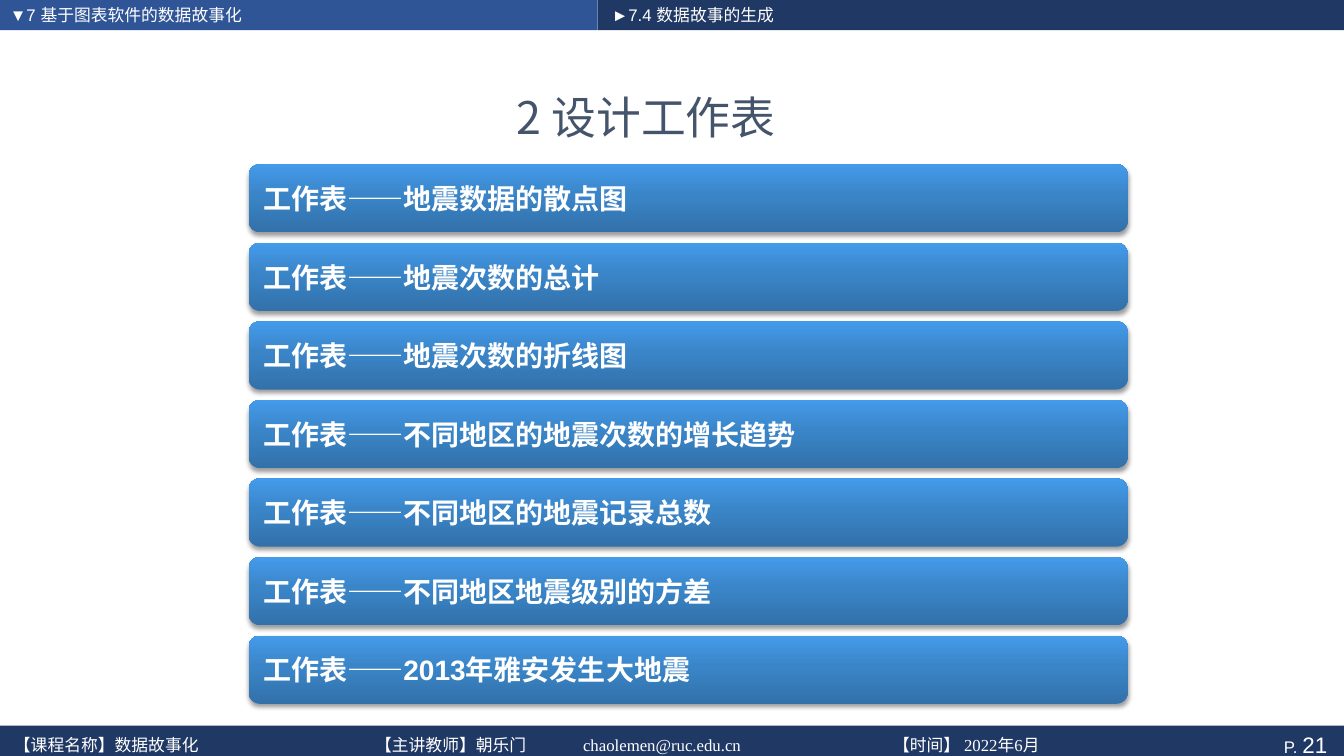
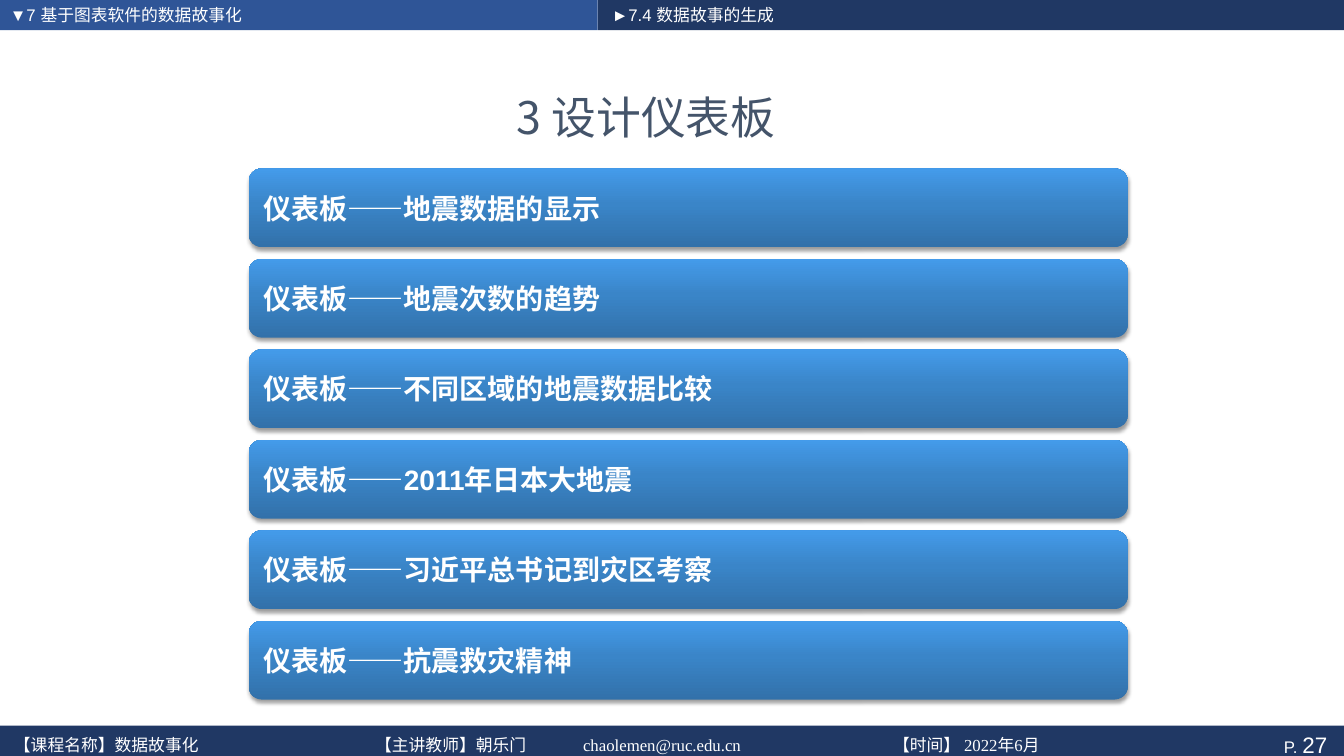
from copy import deepcopy

from lxml.etree import SubElement
from pptx import Presentation
from pptx.dml.color import RGBColor
from pptx.enum.shapes import MSO_SHAPE
from pptx.enum.text import MSO_ANCHOR, PP_ALIGN
from pptx.oxml.ns import qn
from pptx.util import Pt

WHITE = RGBColor(0xFF, 0xFF, 0xFF)
NAVY = RGBColor(0x20, 0x38, 0x64)
BLUE = RGBColor(0x2F, 0x55, 0x97)
SLATE = RGBColor(0x44, 0x54, 0x6A)
BAR_GRADIENT = [
    (0, RGBColor(0x32, 0x71, 0xAA)),
    (0.55, RGBColor(0x3A, 0x85, 0xC8)),
    (1, RGBColor(0x44, 0x9B, 0xEA)),
]
CHINESE_FONT = "Noto Sans CJK SC"

SLIDE_WIDTH, SLIDE_HEIGHT = 960, 540
HEADER_HEIGHT = 21.6
HEADER_SPLIT = 427
FOOTER_TOP, FOOTER_HEIGHT = 518.4, 26.6
BAR_LEFT, BAR_WIDTH = 177.6, 628
BARS_CENTER = 310
BAR_GAP = 0.15  # share of the bar height

# left, top, width, height, fill
BANDS = {
    "chapter": (0, 0, HEADER_SPLIT, HEADER_HEIGHT, BLUE),
    "section": (HEADER_SPLIT, 0, SLIDE_WIDTH - HEADER_SPLIT, HEADER_HEIGHT, NAVY),
    "footer": (0, FOOTER_TOP, SLIDE_WIDTH, FOOTER_HEIGHT, NAVY),
}
FOOTER_ITEMS = [
    (10, "【课程名称】数据故事化"),
    (268, "【主讲教师】朝乐门"),
    (416.5, "chaolemen@ruc.edu.cn"),
    (638, "【时间】 2022年6月"),
]
SLIDES = [
    {
        "title": "2 设计工作表",
        "page": 21,
        "prefix": "工作表——",
        "bar_height": 48.8,
        "items": [
            "地震数据的散点图",
            "地震次数的总计",
            "地震次数的折线图",
            "不同地区的地震次数的增长趋势",
            "不同地区的地震记录总数",
            "不同地区地震级别的方差",
            "2013年雅安发生大地震",
        ],
    },
    {
        "title": "3 设计仪表板",
        "page": 27,
        "prefix": "仪表板——",
        "bar_height": 56.2,
        "items": [
            "地震数据的显示",
            "地震次数的趋势",
            "不同区域的地震数据比较",
            "2011年日本大地震",
            "习近平总书记到灾区考察",
            "抗震救灾精神",
        ],
    },
]


def add_text(shape, text, size=12, font="Arial", color=WHITE, bold=False,
             align=PP_ALIGN.LEFT, left=0, right=0):
    """Append a run to the shape's first paragraph; left and right are insets."""
    frame = shape.text_frame
    frame.word_wrap = True
    frame.vertical_anchor = MSO_ANCHOR.MIDDLE
    frame.margin_left, frame.margin_right = Pt(left), Pt(right)
    frame.margin_top = frame.margin_bottom = 0
    paragraph = frame.paragraphs[0]
    paragraph.alignment = align
    run = paragraph.add_run()
    run.text = text
    run.font.size = Pt(size)
    run.font.bold = bold
    run.font.color.rgb = color
    run.font.name = font
    SubElement(run.font._element, qn("a:ea"), typeface=CHINESE_FONT)


def add_plain_shape(slide, kind, left, top, width, height):
    shape = slide.shapes.add_shape(kind, Pt(left), Pt(top), Pt(width), Pt(height))
    shape.shadow.inherit = False
    shape.line.fill.background()
    return shape


presentation = Presentation()
presentation.slide_width = Pt(SLIDE_WIDTH)
presentation.slide_height = Pt(SLIDE_HEIGHT)

for content in SLIDES:
    slide = presentation.slides.add_slide(presentation.slide_layouts[5])

    # Header and footer bands
    bands = {}
    for name, (left, top, width, height, color) in BANDS.items():
        band = add_plain_shape(slide, MSO_SHAPE.RECTANGLE, left, top, width, height)
        band.fill.solid()
        band.fill.fore_color.rgb = color
        bands[name] = band
    add_text(bands["chapter"], "▼7 基于图表软件的数据故事化", left=7.2)
    add_text(bands["section"], "►7.4 数据故事的生成", left=10)
    for text, size in (("P. ", 12), (str(content["page"]), 16)):
        add_text(bands["footer"], text, size=size, align=PP_ALIGN.RIGHT, right=12)
    for left, text in FOOTER_ITEMS:
        box = slide.shapes.add_textbox(Pt(left), Pt(FOOTER_TOP), Pt(200), Pt(FOOTER_HEIGHT))
        add_text(box, text, font="Times New Roman")

    # Title
    title = slide.shapes.title
    title.left, title.top, title.width, title.height = Pt(177.6), Pt(51), Pt(568), Pt(65)
    add_text(title, content["title"], size=32, font=CHINESE_FONT, color=SLATE,
             align=PP_ALIGN.CENTER)

    # Bars, centred as a stack
    height = content["bar_height"]
    pitch = height * (1 + BAR_GAP)
    count = len(content["items"])
    first_top = BARS_CENTER - (pitch * (count - 1) + height) / 2
    for index, item in enumerate(content["items"]):
        bar = add_plain_shape(slide, MSO_SHAPE.ROUNDED_RECTANGLE, BAR_LEFT,
                              first_top + index * pitch, BAR_WIDTH, height)
        bar.fill.gradient()
        bar.fill.gradient_angle = 90
        properties = bar._element.spPr
        stop_list = properties.find(".//" + qn("a:gsLst"))
        stop_list.insert(1, deepcopy(stop_list[0]))
        for stop, (position, color) in zip(bar.fill.gradient_stops, BAR_GRADIENT):
            stop.position = position
            stop.color.rgb = color
        shadow = SubElement(properties.find(qn("a:effectLst")), qn("a:outerShdw"),
                            blurRad=str(Pt(3.1)), dist=str(Pt(2)), dir="5400000",
                            rotWithShape="0")
        shadow_color = SubElement(shadow, qn("a:srgbClr"), val="000000")
        SubElement(shadow_color, qn("a:alpha"), val="38000")
        add_text(bar, content["prefix"] + item, size=20, bold=True, left=8, right=8)

presentation.save("out.pptx")
